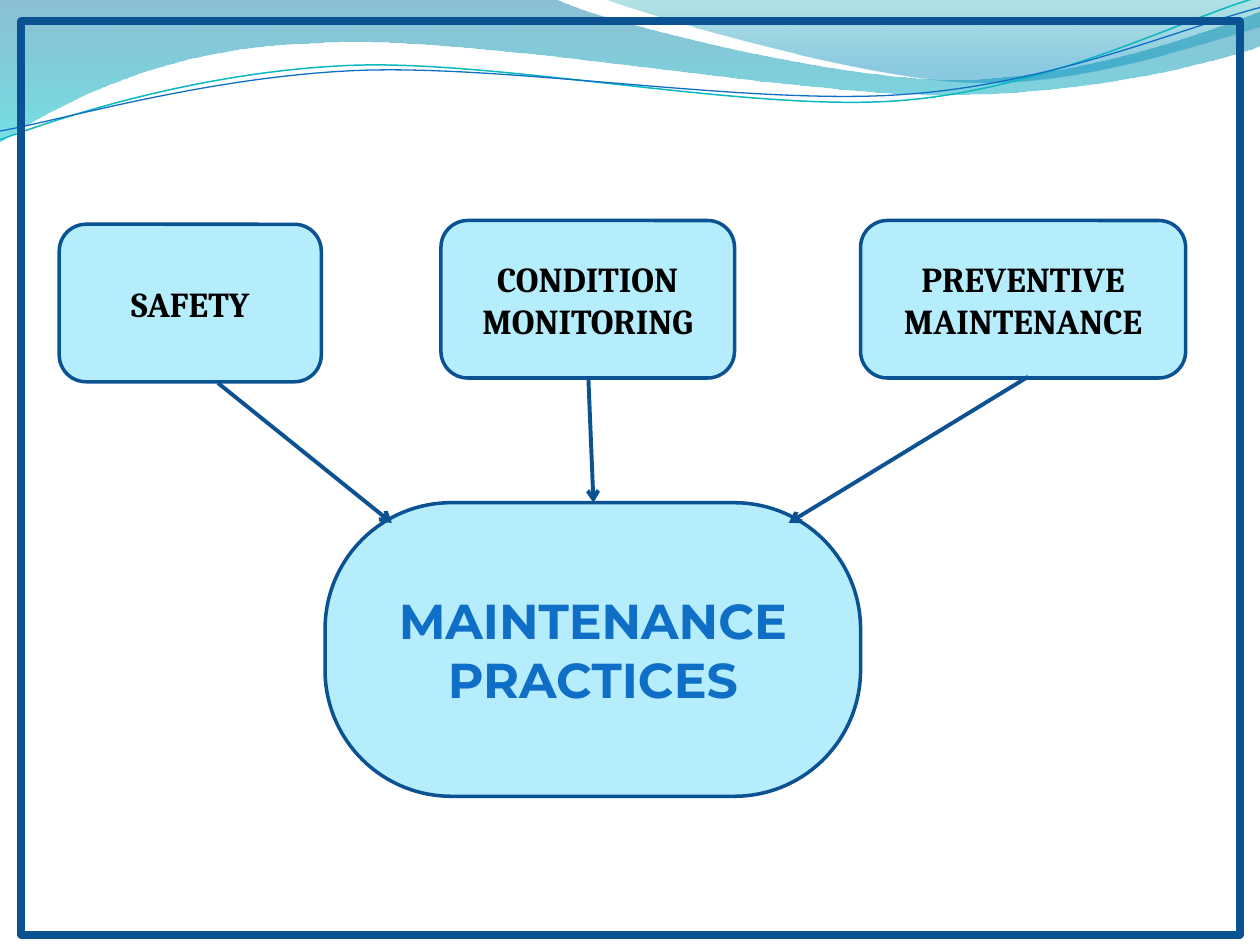
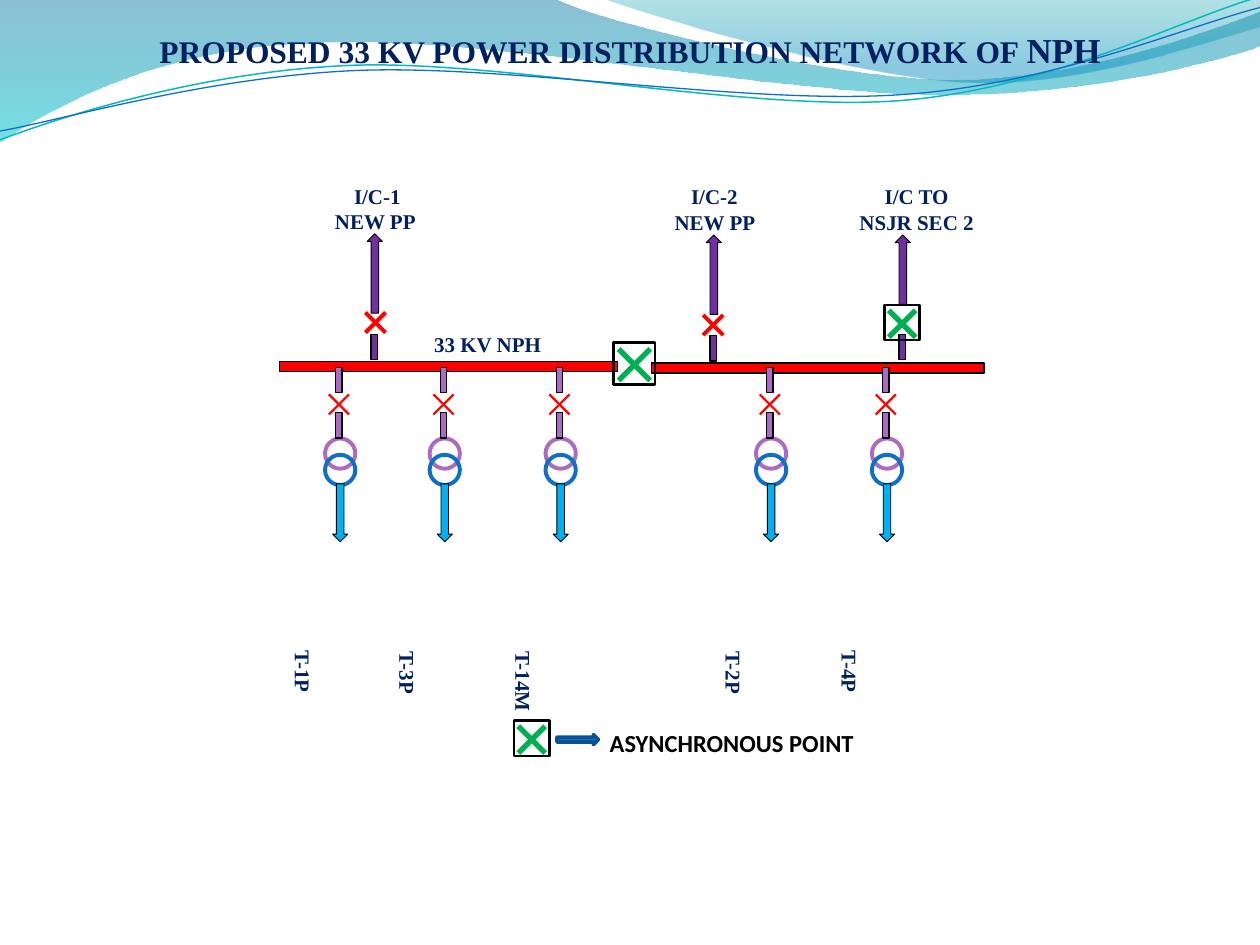
"""Build two slides: maintenance practices and a 33 KV distribution network."""
from dataclasses import dataclass

from lxml import etree
from pptx import Presentation
from pptx.dml.color import RGBColor
from pptx.enum.shapes import MSO_CONNECTOR, MSO_SHAPE
from pptx.enum.text import MSO_ANCHOR, MSO_AUTO_SIZE, PP_ALIGN
from pptx.oxml import parse_xml
from pptx.oxml.ns import qn
from pptx.util import Inches, Pt

RECTANGLE = MSO_SHAPE.RECTANGLE
ROUNDED = MSO_SHAPE.ROUNDED_RECTANGLE
OVAL = MSO_SHAPE.OVAL
DOWN_ARROW = MSO_SHAPE.DOWN_ARROW
RIGHT_ARROW = MSO_SHAPE.RIGHT_ARROW
STRAIGHT = MSO_CONNECTOR.STRAIGHT
CENTER = PP_ALIGN.CENTER
LEFT = PP_ALIGN.LEFT
MIDDLE = MSO_ANCHOR.MIDDLE
NO_AUTOFIT = MSO_AUTO_SIZE.NONE
DRAWING_NAMESPACE = "http://schemas.openxmlformats.org/drawingml/2006/main"


@dataclass(frozen=True)
class Theme:
    """Colours, fonts and type sizes."""
    navy: str = "0B5292"
    blue: str = "0F6FC6"
    teal: str = "0AB8BF"
    pale: str = "B5EDFD"
    ink: str = "002060"
    black: str = "000000"
    red: str = "FF0000"
    green: str = "00B050"
    purple: str = "7030A0"
    lilac: str = "AD6AC2"
    sky: str = "00B0F0"
    serif: str = "Times New Roman"
    box_font: str = "Cambria"
    hub_font: str = "Montserrat"
    legend_font: str = "Calibri"
    label_size: int = 12
    legend_size: int = 14
    title_size: int = 18
    box_size: int = 20
    hub_size: int = 28


theme = Theme()


def add_shape(slide, kind, left, top, width, height, fill, line, line_width, rotation=0):
    """Add a preset shape without shadow."""
    shape = slide.shapes.add_shape(kind, Inches(left), Inches(top), Inches(width), Inches(height))
    shape.shadow.inherit = False
    shape.rotation = rotation
    if fill:
        shape.fill.solid()
        shape.fill.fore_color.rgb = RGBColor.from_string(fill)
    else:
        shape.fill.background()
    shape.line.color.rgb = RGBColor.from_string(line)
    shape.line.width = Pt(line_width)
    return shape


def add_line(slide, start, end, color, width, arrow=False):
    """Add a straight connector, with an open arrowhead if asked."""
    connector = slide.shapes.add_connector(STRAIGHT, *map(Inches, start + end))
    connector.line.color.rgb = RGBColor.from_string(color)
    connector.line.width = Pt(width)
    properties = connector.element.spPr
    if arrow:
        etree.SubElement(properties.find(qn("a:ln")), qn("a:tailEnd"), type="arrow")
    etree.SubElement(properties, qn("a:effectLst"))


presentation = Presentation()
presentation.slide_width = Inches(10)
presentation.slide_height = Inches(7.5)
practices = presentation.slides.add_slide(presentation.slide_layouts[6])
network = presentation.slides.add_slide(presentation.slide_layouts[5])

waves = [
    ([(0, 0), (4.4, -0.01),
      (4.76, 0.17, 6.64, 0.63, 7.58, 0.63), (8.53, 0.63, 9.58, 0.26, 10, 0.09),
      (10.01, 0.36),
      (9.83, 0.44, 8.7, 0.76, 7.46, 0.75), (6.22, 0.75, 3.82, 0.28, 2.57, 0.34),
      (1.29, 0.36, 0.46, 0.83, -0.01, 1.13)],
     [(0, "0074A1", 45), (100, "00C6CF", 55)], None, 0),
    ([(4.79, -0.01),
      (5.09, 0.11, 6.82, 0.62, 7.69, 0.65), (8.56, 0.69, 9.61, 0.32, 10, 0.21),
      (10, 0)],
     [(0, "00A1A9", 30), (80, "008BBF", 45)], None, 0),
    ([(0, 1.11),
      (0.48, 0.93, 1.58, 0.57, 2.77, 0.52), (3.95, 0.47, 5.93, 0.89, 7.13, 0.8),
      (8.33, 0.71, 9.38, 0.15, 9.98, -0.02)],
     None, theme.teal, 0.85),
    ([(0, 1.04),
      (0.47, 0.96, 1.64, 0.61, 2.83, 0.56), (4.03, 0.51, 5.97, 0.84, 7.17, 0.75),
      (8.36, 0.67, 9.41, 0.21, 10, 0.06)],
     None, theme.blue, 0.75),
]
master_tree = presentation.slide_master.element.cSld.spTree
for segments, stops, line, line_width in waves:
    corners = [(Inches(segment[-2]), Inches(segment[-1])) for segment in segments]
    builder = practices.shapes.build_freeform(*corners[0])
    builder.add_line_segments(corners[1:], close=bool(stops))
    wave = builder.convert_to_shape()
    wave.shadow.inherit = False
    properties = wave.element.spPr
    for straight, segment in zip(list(properties.iter(qn("a:lnTo"))), segments[1:]):
        if len(segment) == 6:
            curve = etree.Element(qn("a:cubicBezTo"))
            for x, y in zip(segment[::2], segment[1::2]):
                etree.SubElement(curve, qn("a:pt"), x=str(Inches(x) - wave.left), y=str(Inches(y) - wave.top))
            straight.getparent().replace(straight, curve)
    wave.fill.background()
    if stops:
        wave.line.fill.background()
        stop_xml = "".join(
            f'<a:gs pos="{position * 1000}"><a:srgbClr val="{color}">'
            f'<a:alpha val="{opacity * 1000}"/></a:srgbClr></a:gs>'
            for position, color, opacity in stops)
        gradient = parse_xml(
            f'<a:gradFill xmlns:a="{DRAWING_NAMESPACE}" rotWithShape="1"><a:gsLst>{stop_xml}</a:gsLst>'
            '<a:lin ang="5400000" scaled="0"/></a:gradFill>')
        properties.replace(properties.find(qn("a:noFill")), gradient)
    else:
        wave.line.color.rgb = RGBColor.from_string(line)
        wave.line.width = Pt(line_width)
    master_tree.append(wave.element)

add_shape(practices, RECTANGLE, 0.17, 0.17, 9.67, 7.25, None, theme.navy, 4.5)
box_style = (theme.box_font, theme.box_size, theme.black)
hub_style = (theme.hub_font, theme.hub_size, theme.blue)
practice_boxes = [
    ("SAFETY", (0.47, 1.78, 2.08, 1.25), 0.17, box_style),
    ("CONDITION MONITORING", (3.5, 1.75, 2.33, 1.25), 0.17, box_style),
    ("PREVENTIVE MAINTENANCE", (6.83, 1.75, 2.58, 1.25), 0.17, box_style),
    ("MAINTENANCE PRACTICES", (2.58, 3.99, 4.25, 2.33), 0.43, hub_style),
]
for text, place, rounding, (font, size, color) in practice_boxes:
    box = add_shape(practices, ROUNDED, *place, theme.pale, theme.navy, 2)
    box.adjustments[0] = rounding
    box.text_frame.text = text
    box.text_frame.word_wrap = True
    box.text_frame.vertical_anchor = MIDDLE
    paragraph = box.text_frame.paragraphs[0]
    paragraph.alignment = CENTER
    paragraph.font.name = font
    paragraph.font.size = Pt(size)
    paragraph.font.bold = True
    paragraph.font.color.rgb = RGBColor.from_string(color)
for start, end in [((1.73, 3.04), (3.11, 4.15)), ((8.16, 2.99), (6.26, 4.15)), ((4.67, 3), (4.71, 3.99))]:
    add_line(practices, start, end, theme.navy, 2.25, arrow=True)

title = network.shapes.title
title.left, title.top, title.width, title.height = Inches(0), Inches(0.17), Inches(10), Inches(0.44)
title.text_frame.auto_size = NO_AUTOFIT
title.text_frame.vertical_anchor = MIDDLE
paragraph = title.text_frame.paragraphs[0]
paragraph.alignment = CENTER
paragraph.font.name = theme.serif
paragraph.font.bold = True
paragraph.font.color.rgb = RGBColor.from_string(theme.ink)
for text, size in [("PROPOSED 33 KV POWER DISTRIBUTION NETWORK OF ", theme.title_size), ("NPH", theme.box_size)]:
    run = paragraph.add_run()
    run.text = text
    run.font.size = Pt(size)

for left, top, width in [(2.22, 2.87, 2.68), (5.17, 2.88, 2.64)]:
    add_shape(network, RECTANGLE, left, top, width, 0.08, theme.red, theme.black, 0.75)

crosses = []
incomers = [(2.87, 2.73, 2.66, 2.11, 0.63), (5.56, 2.74, 5.35, 2.12, 0.63), (7.06, 2.73, 6.89, 2.08, 0.55)]
for stub_left, stub_top, arrow_left, arrow_top, length in incomers:
    add_shape(network, RECTANGLE, stub_left, stub_top, 0.2, 0.05, theme.purple, theme.black, 0.75, 90)
    add_shape(network, RIGHT_ARROW, arrow_left, arrow_top, length, 0.12, theme.purple, theme.black, 0.5, 270)
for center, middle in [(2.98, 2.56), (5.66, 2.58)]:
    crosses.append((center, middle, 0.08, theme.red, 2.25))

label_style = (theme.serif, theme.label_size, theme.ink, CENTER)
legend_style = (theme.legend_font, theme.legend_size, theme.black, LEFT)
labels = [
    ("33 KV NPH", (3.33, 2.58, 1.08, 0.3), 0, label_style),
    ("I/C-1\nNEW PP ", (2.35, 1.41, 1.29, 0.37), 0, label_style),
    ("I/C-2\n NEW PP ", (5.13, 1.41, 1.08, 0.51), 0, label_style),
    ("I/C TO\nNSJR SEC 2", (6.63, 1.41, 1.29, 0.51), 0, label_style),
    ("ASYNCHRONOUS POINT", (4.74, 5.73, 2.25, 0.34), 0, legend_style),
]

feeders = [("T-1P", 2.58, 5.33), ("T-3P", 3.41, 5.34), ("T-14M", 4.33, 5.41), ("T-2P", 6, 5.34), ("T-4P", 6.92, 5.33)]
for name, left, label_middle in feeders:
    for top, color in [(3.48, theme.lilac), (3.61, theme.blue)]:
        add_shape(network, OVAL, left, top, 0.24, 0.24, None, color, 2.25)
    for top in (2.99, 3.35):
        add_shape(network, RECTANGLE, left + 0.01, top, 0.2, 0.05, theme.lilac, theme.black, 0.75, 270)
    add_shape(network, DOWN_ARROW, left + 0.06, 3.84, 0.12, 0.46, theme.sky, theme.black, 0.5)
    crosses.append((left + 0.11, 3.21, 0.08, theme.red, 1.25))
    labels.append((name, (left - 0.59, label_middle - 0.15, 0.83, 0.3), 90, label_style))

for left, top, size in [(4.87, 2.72, 0.33), (7.02, 2.42, 0.28), (4.08, 5.72, 0.28)]:
    add_shape(network, RECTANGLE, left, top, size, size, None, theme.black, 1.5)
    crosses.append((left + size / 2, top + size / 2 + 0.01, 0.38 * size, theme.green, 3))
add_shape(network, RIGHT_ARROW, 4.42, 5.83, 0.33, 0.08, theme.blue, theme.navy, 2)

for center, middle, reach, color, width in crosses:
    for rise in (reach, -reach):
        add_line(network, (center - reach, middle - rise), (center + reach, middle + rise), color, width)

for text, place, rotation, (font, size, color, alignment) in labels:
    label = network.shapes.add_textbox(*map(Inches, place))
    label.rotation = rotation
    label.text_frame.word_wrap = True
    label.text_frame.text = text
    for paragraph in label.text_frame.paragraphs:
        paragraph.alignment = alignment
        paragraph.font.name = font
        paragraph.font.size = Pt(size)
        paragraph.font.bold = True
        paragraph.font.color.rgb = RGBColor.from_string(color)

presentation.save("out.pptx")
